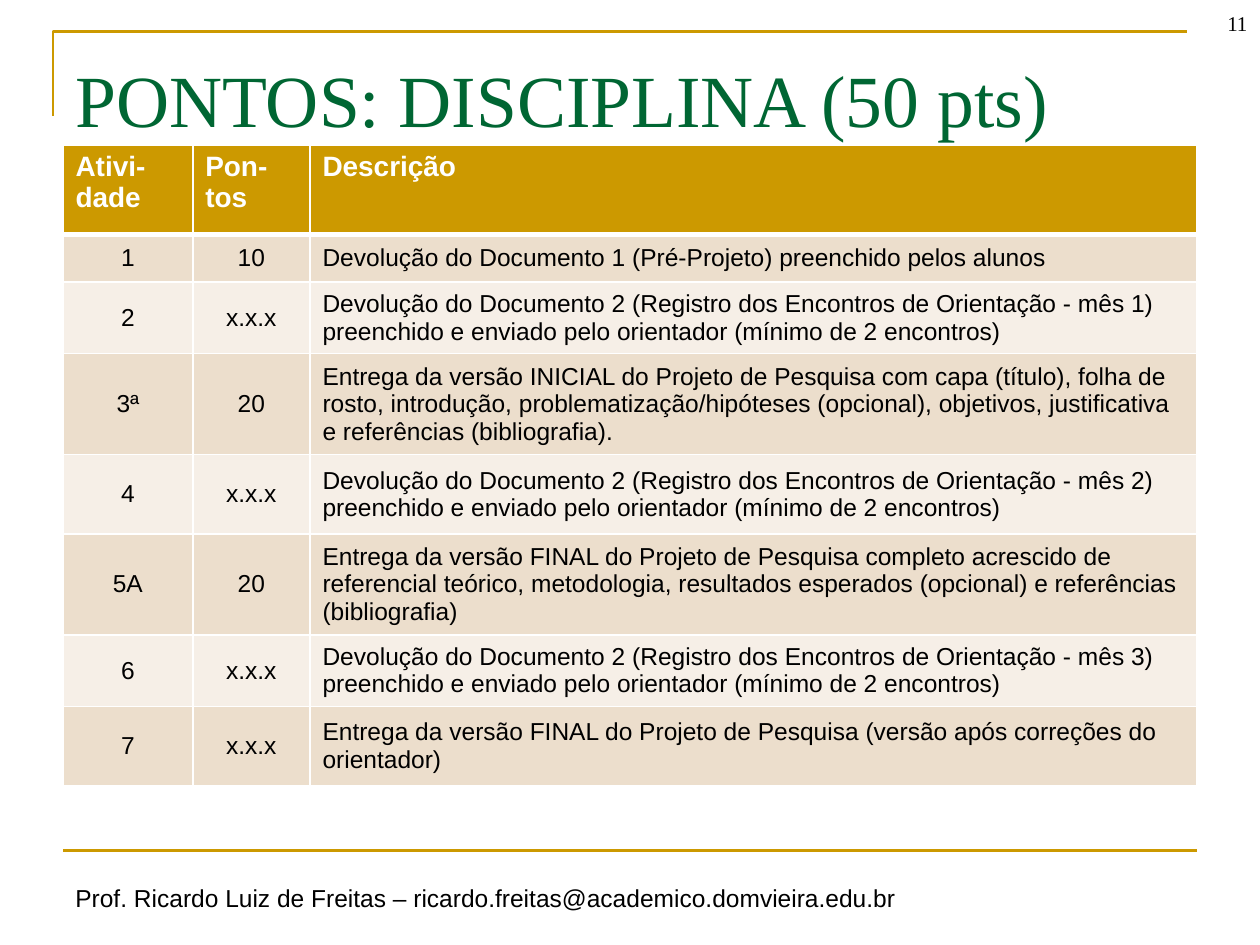
"""Build the slide that lists the graded activities of the course."""
from dataclasses import dataclass
from typing import NamedTuple

from lxml.etree import SubElement
from pptx import Presentation
from pptx.dml.color import RGBColor
from pptx.enum.shapes import MSO_CONNECTOR
from pptx.enum.text import MSO_ANCHOR as Anchor, MSO_AUTO_SIZE as AutoSize, PP_ALIGN as Align
from pptx.oxml.ns import qn
from pptx.util import Inches, Pt

GOLD = RGBColor(0xCC, 0x99, 0x00)
GREEN = RGBColor(0x00, 0x66, 0x33)
BLACK = RGBColor(0x00, 0x00, 0x00)
WHITE = RGBColor(0xFF, 0xFF, 0xFF)
BANDS = (RGBColor(0xEC, 0xDE, 0xCC), RGBColor(0xF6, 0xEF, 0xE7))

SLIDE_W, SLIDE_H = Inches(10), Inches(7.5)
COL, ROW = SLIDE_W / 10, SLIDE_H / 7.5
MARGIN, CONTENT = 0.5, 9
RULE = Pt(1.5)
SANS, SERIF = "Arial", "Times New Roman"


class Box(NamedTuple):
    """Place and size in grid columns and rows."""
    left: float
    top: float
    width: float
    height: float

    def emu(self) -> tuple[int, int, int, int]:
        """Return the box in slide units."""
        return (int(self.left * COL), int(self.top * ROW),
                int(self.width * COL), int(self.height * ROW))


class Style(NamedTuple):
    """Character format of a run."""
    size: int
    font: str
    color: RGBColor
    bold: bool = False


@dataclass(frozen=True)
class Label:
    """A piece of text outside the table."""
    text: str
    box: Box
    style: Style
    align: Align = Align.LEFT
    anchor: Anchor = Anchor.TOP
    wrap: bool = True
    inset: float = 0.05


@dataclass(frozen=True)
class Activity:
    """A table row with its least height in grid rows."""
    code: str
    points: str
    text: str
    height: float


HEAD = Style(16, SANS, WHITE, True)
BODY = Style(14, SANS, BLACK)
MEETINGS = ("Devolução do Documento 2 (Registro dos Encontros de Orientação - mês {}) "
            "preenchido e enviado pelo orientador (mínimo de 2 encontros)")

LABELS = (
    Label("Prof. Ricardo Luiz de Freitas – ricardo.freitas@academico.domvieira.edu.br",
          Box(MARGIN, 6.96, 6.86, 0.34), BODY, wrap=False),
    Label("PONTOS: DISCIPLINA (50 pts)", Box(MARGIN, 0.3, CONTENT, 1.25),
          Style(42, SERIF, GREEN), inset=0.13),
    Label("11", Box(9.5, -0.17, 0.5, 0.5), Style(12, SERIF, BLACK),
          Align.RIGHT, Anchor.BOTTOM),
)
TABLE_BOX = Box(MARGIN, 1.15, CONTENT, 5.08)
COLUMNS = (1.03, 0.93, 7.04)
ACTIVITIES = (
    Activity("Ativi-dade", "Pon-tos", "Descrição", 0.71),
    Activity("1", "10", "Devolução do Documento 1 (Pré-Projeto) preenchido pelos alunos", 0.38),
    Activity("2", "x.x.x", MEETINGS.format(1), 0.38),
    Activity("3ª", "20", "Entrega da versão INICIAL do Projeto de Pesquisa com capa (título), "
             "folha de rosto, introdução, problematização/hipóteses (opcional), objetivos, "
             "justificativa e referências (bibliografia).", 0.63),
    Activity("4", "x.x.x", MEETINGS.format(2), 0.63),
    Activity("5A", "20", "Entrega da versão FINAL do Projeto de Pesquisa completo acrescido de "
             "referencial teórico, metodologia, resultados esperados (opcional) e referências "
             "(bibliografia)", 0.38),
    Activity("6", "x.x.x", MEETINGS.format(3), 0.38),
    Activity("7", "x.x.x", "Entrega da versão FINAL do Projeto de Pesquisa (versão após "
             "correções do orientador)", 0.63),
)


def write(tf, text: str, style: Style, align: Align) -> None:
    """Put one formatted run into a text frame."""
    p = tf.paragraphs[0]
    p.alignment = align
    r = p.add_run()
    r.text = text
    r.font.size, r.font.name, r.font.bold = Pt(style.size), style.font, style.bold
    r.font.color.rgb = style.color


def add_label(s, label: Label) -> None:
    """Add a text box."""
    tf = s.shapes.add_textbox(*label.box.emu()).text_frame
    tf.word_wrap = label.wrap
    tf.auto_size = AutoSize.NONE if label.wrap else AutoSize.SHAPE_TO_FIT_TEXT
    tf.vertical_anchor = label.anchor
    tf.margin_top = Inches(label.inset)
    write(tf, label.text, label.style, label.align)


def add_corner(s, box: Box) -> None:
    """Draw the open corner around the title."""
    left, top, width, height = box.emu()
    builder = s.shapes.build_freeform(left, top + height)
    builder.add_line_segments([(left, top), (left + width, top)], close=False)
    sp = builder.convert_to_shape()
    sp.shadow.inherit = False
    sp.fill.background()
    sp.line.color.rgb, sp.line.width = GOLD, RULE


def add_rule(s, box: Box) -> None:
    """Draw the line above the footer."""
    left, top, width, height = box.emu()
    sp = s.shapes.add_connector(MSO_CONNECTOR.STRAIGHT, left, top, left + width, top + height)
    sp.line.color.rgb, sp.line.width = GOLD, RULE
    SubElement(sp._element.spPr, qn("a:effectLst"))


def set_borders(cell, bottom: int) -> None:
    """Give a cell white borders, with the bottom width in points."""
    tc_pr = cell._tc.get_or_add_tcPr()
    widths = {"lnL": 1, "lnR": 1, "lnT": 1, "lnB": bottom}
    for place, (tag, width) in enumerate(widths.items()):
        ln = SubElement(tc_pr, qn(f"a:{tag}"), w=str(Pt(width)))
        SubElement(SubElement(ln, qn("a:solidFill")), qn("a:srgbClr"), val=str(WHITE))
        tc_pr.insert(place, ln)


def add_activities(s, box: Box, activities: tuple[Activity, ...]) -> None:
    """Add the table with a header and banded rows."""
    table = s.shapes.add_table(len(activities), len(COLUMNS), *box.emu()).table
    for column, width in zip(table.columns, COLUMNS):
        column.width = int(width * COL)
    for i, activity in enumerate(activities):
        table.rows[i].height = int(activity.height * ROW)
        header = i == 0
        for j, text in enumerate((activity.code, activity.points, activity.text)):
            cell = table.cell(i, j)
            cell.fill.solid()
            cell.fill.fore_color.rgb = GOLD if header else BANDS[(i - 1) % 2]
            cell.vertical_anchor = Anchor.TOP if header else Anchor.MIDDLE
            align = Align.LEFT if header or j == 2 else Align.CENTER
            write(cell.text_frame, text, HEAD if header else BODY, align)
            set_borders(cell, 3 if i == 0 else 1)
            if i == 1:
                cell._tc.tcPr.find(qn("a:lnT")).set("w", str(Pt(3)))


def main() -> None:
    """Build and save the slide."""
    prs = Presentation()
    prs.slide_width, prs.slide_height = SLIDE_W, SLIDE_H
    s = prs.slides.add_slide(prs.slide_layouts[6])
    add_corner(s, Box(0.42, 0.25, CONTENT, 0.67))
    add_rule(s, Box(MARGIN, 6.75, CONTENT, 0))
    for label in LABELS:
        add_label(s, label)
    add_activities(s, TABLE_BOX, ACTIVITIES)
    prs.save("out.pptx")


if __name__ == "__main__":
    main()
